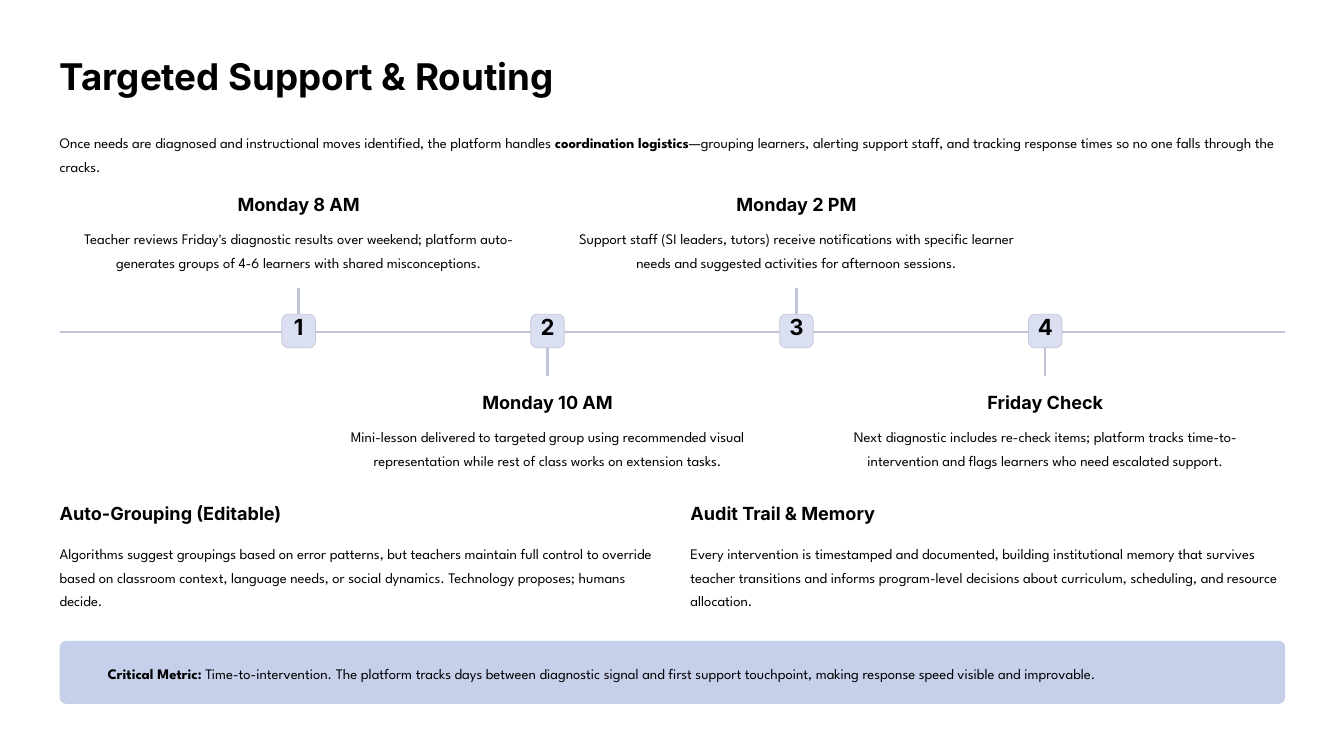
"""Build the Targeted Support & Routing timeline slide."""
from dataclasses import dataclass

from lxml.etree import SubElement
from pptx import Presentation
from pptx.dml.color import RGBColor
from pptx.enum.shapes import MSO_CONNECTOR as CONN, MSO_SHAPE as SHAPE
from pptx.enum.text import MSO_ANCHOR as ANCHOR, MSO_AUTO_SIZE as AUTO, PP_ALIGN as ALIGN
from pptx.oxml.ns import qn
from pptx.util import Pt

BLACK = RGBColor(0x00, 0x00, 0x00)
RULE = RGBColor(0xC0, 0xC6, 0xD7)
BADGE = RGBColor(0xDA, 0xE0, 0xF1)
CALLOUT = RGBColor(0xC7, 0xD0, 0xEA)

LEFT, WIDTH = 51.2, 1050.4
RAIL_Y, STEM = 284.7, 38
FIRST_X, STEP_X = 256, 213.33
BADGE_SIZE, BADGE_TOP = 28.8, 269.3
STEP_WIDTH, STEP_TOPS = 385.2, (164.9, 334.8)
COLUMN_WIDTH, COLUMN_TOP = 509.8, 429.8


@dataclass(frozen=True)
class Style:
    """Text format with exact line spacing in points."""
    name: str
    size: float
    bold: bool
    spacing: float


@dataclass(frozen=True)
class Entry:
    """Heading with its text."""
    heading: str
    body: str


TITLE = Style("Inter", 31.5, True, 39.5)
HEADING = Style("Inter", 15.5, True, 19.5)
NUMBER = Style("Inter", 19, True, 19)
BODY = Style("League Spartan", 12.5, False, 20)

STEPS = [
    Entry("Monday 8 AM", "Teacher reviews Friday's diagnostic results over weekend; platform "
          "auto-generates groups of 4-6 learners with shared misconceptions."),
    Entry("Monday 10 AM", "Mini-lesson delivered to targeted group using recommended visual "
          "representation while rest of class works on extension tasks."),
    Entry("Monday 2 PM", "Support staff (SI leaders, tutors) receive notifications with specific "
          "learner needs and suggested activities for afternoon sessions."),
    Entry("Friday Check", "Next diagnostic includes re-check items; platform tracks "
          "time-to-intervention and flags learners who need escalated support."),
]
COLUMNS = [
    Entry("Auto-Grouping (Editable)", "Algorithms suggest groupings based on error patterns, but "
          "teachers maintain full control to override based on classroom context, language needs, "
          "or social dynamics. Technology proposes; humans decide."),
    Entry("Audit Trail & Memory", "Every intervention is timestamped and documented, building "
          "institutional memory that survives teacher transitions and informs program-level "
          "decisions about curriculum, scheduling, and resource allocation."),
]
INTRO = [
    ("Once needs are diagnosed and instructional moves identified, the platform handles ", False),
    ("coordination logistics", True),
    ("—grouping learners, alerting support staff, and tracking response times so no one falls "
     "through the cracks.", False),
]
METRIC = [
    ("Critical Metric:", True),
    (" Time-to-intervention. The platform tracks days between diagnostic signal and first support "
     "touchpoint, making response speed visible and improvable.", False),
]


def write(sp, runs: list[tuple[str, bool]], style: Style, align=ALIGN.LEFT,
          inset_left: float = 0, inset_top: float = 0) -> None:
    """Fill a shape with one paragraph of formatted runs."""
    tf = sp.text_frame
    frame = {"word_wrap": True, "auto_size": AUTO.NONE, "vertical_anchor": ANCHOR.TOP,
             "margin_left": Pt(inset_left), "margin_top": Pt(inset_top),
             "margin_right": 0, "margin_bottom": 0}
    for key, value in frame.items():
        setattr(tf, key, value)
    p = tf.paragraphs[0]
    p.alignment, p.line_spacing = align, Pt(style.spacing)
    for text, bold in runs:
        r = p.add_run()
        r.text = text
        for key, value in {"name": style.name, "size": Pt(style.size), "bold": bold}.items():
            setattr(r.font, key, value)
        r.font.color.rgb = BLACK


def add_text(s, x: float, y: float, w: float, h: float, runs: list[tuple[str, bool]],
             style: Style, align=ALIGN.LEFT) -> None:
    """Add a text box."""
    write(s.shapes.add_textbox(Pt(x), Pt(y), Pt(w), Pt(h)), runs, style, align)


def add_entry(s, entry: Entry, x: float, y: float, w: float, gap: float, h: float,
              align=ALIGN.LEFT) -> None:
    """Add a heading and the text below it."""
    add_text(s, x, y, w, 20, [(entry.heading, True)], HEADING, align)
    add_text(s, x, y + gap, w, h, [(entry.body, False)], BODY, align)


def add_panel(s, x: float, y: float, w: float, h: float, radius: float, fill: RGBColor):
    """Add a rounded panel without shadow or outline."""
    sp = s.shapes.add_shape(SHAPE.ROUNDED_RECTANGLE, Pt(x), Pt(y), Pt(w), Pt(h))
    sp.adjustments[0] = radius / min(w, h)
    sp.shadow.inherit = False
    sp.fill.solid()
    sp.fill.fore_color.rgb = fill
    sp.line.fill.background()
    return sp


def add_rule(s, x1: float, y1: float, x2: float, y2: float) -> None:
    """Add a straight timeline rule."""
    rule = s.shapes.add_connector(CONN.STRAIGHT, Pt(x1), Pt(y1), Pt(x2), Pt(y2))
    rule.line.color.rgb, rule.line.width = RULE, Pt(2)
    SubElement(rule._element.spPr, qn("a:effectLst"))


def add_step(s, index: int, step: Entry) -> None:
    """Add a timeline step, alternating above and below the rail."""
    x, below = FIRST_X + index * STEP_X, index % 2
    add_rule(s, x, RAIL_Y, x, RAIL_Y + (STEM if below else -STEM))
    badge = add_panel(s, x - BADGE_SIZE / 2, BADGE_TOP, BADGE_SIZE, BADGE_SIZE, 5.4, BADGE)
    badge.line.color.rgb, badge.line.width = RULE, Pt(0.6)
    write(badge, [(str(index + 1), True)], NUMBER, ALIGN.CENTER, inset_top=1.3)
    add_entry(s, step, x - STEP_WIDTH / 2, STEP_TOPS[below], STEP_WIDTH, 27.4, 40.3, ALIGN.CENTER)


def main() -> None:
    """Draw and save the slide."""
    prs = Presentation()
    prs.slide_width, prs.slide_height = Pt(1152), Pt(648)
    s = prs.slides.add_slide(prs.slide_layouts[5])
    title = s.shapes.title
    title.left, title.top, title.width, title.height = Pt(LEFT), Pt(44.6), Pt(WIDTH), Pt(39.6)
    write(title, [("Targeted Support & Routing", True)], TITLE)
    add_text(s, LEFT, 110.2, WIDTH, 40.3, INTRO, BODY)
    add_rule(s, LEFT, RAIL_Y, LEFT + WIDTH, RAIL_Y)
    for index, step in enumerate(STEPS):
        add_step(s, index, step)
    for index, column in enumerate(COLUMNS):
        x = LEFT + index * (WIDTH - COLUMN_WIDTH)
        add_entry(s, column, x, COLUMN_TOP, COLUMN_WIDTH, 32.4, 61.2)
    callout = add_panel(s, LEFT, 549.3, WIDTH, 54, 5.4, CALLOUT)
    write(callout, METRIC, BODY, inset_left=39.5, inset_top=14.3)
    prs.save("out.pptx")


if __name__ == "__main__":
    main()
